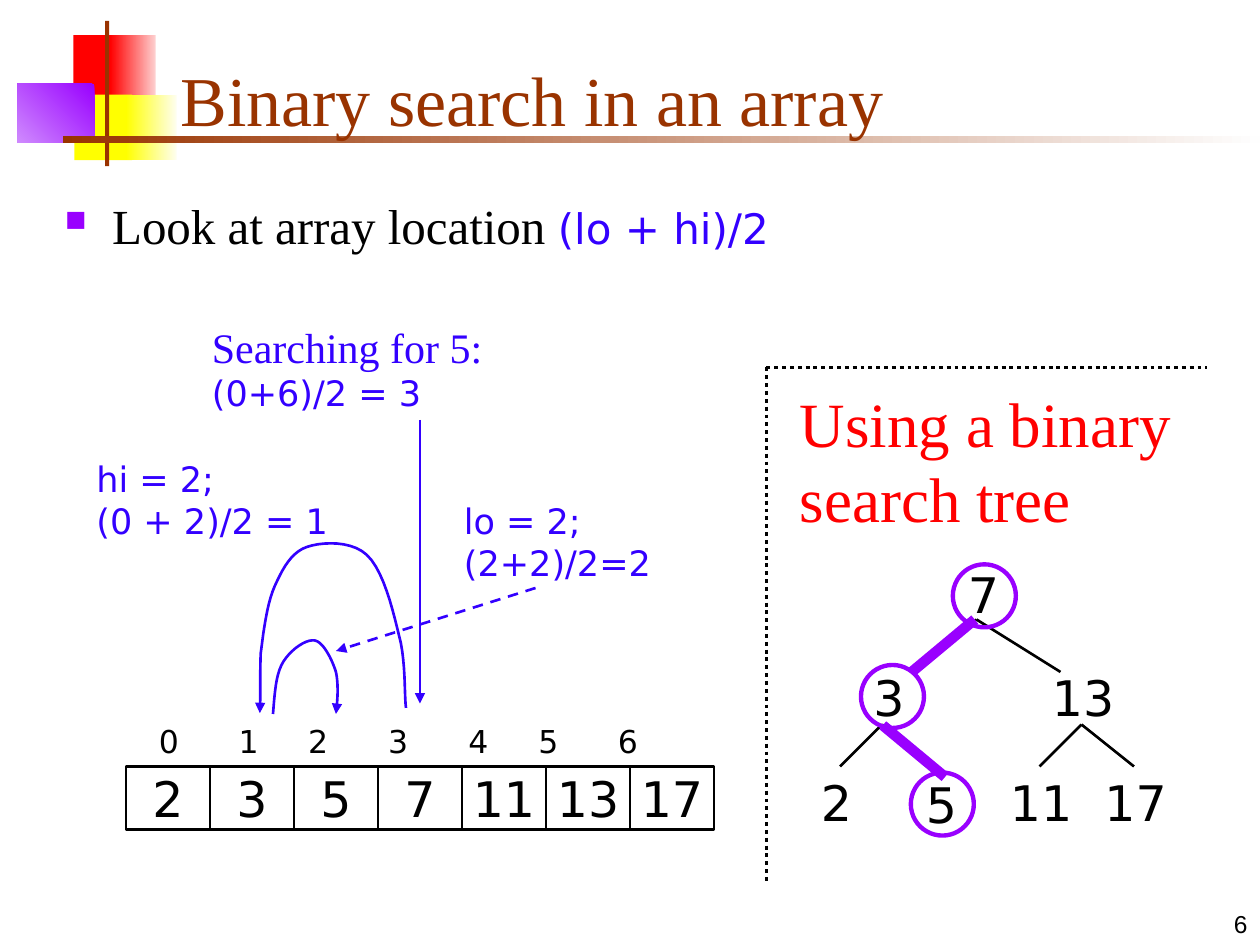
from itertools import pairwise
from lxml.etree import SubElement
from pptx import Presentation
from pptx.dml.color import RGBColor
from pptx.enum.dml import MSO_LINE as DASH
from pptx.enum.shapes import MSO_CONNECTOR, MSO_SHAPE as SHAPE
from pptx.enum.text import MSO_ANCHOR as ANCHOR, MSO_AUTO_SIZE, PP_ALIGN as ALIGN
from pptx.oxml.ns import qn
from pptx.util import Pt

SERIF, SANS = "Times New Roman", "DejaVu Sans"
BLACK, BLUE, PURPLE, BROWN = "000000", "3300FF", "9900FF", "993300"
RED, YELLOW = "FF0000", "FFFF00"


def rgb(code):
    return RGBColor.from_string(code)


def write(frame, *runs, size=20, font=SANS, color=BLACK, align=ALIGN.LEFT,
          anchor=ANCHOR.TOP, wrap=True):
    """Fill the frame's first paragraph; a run is a text or (text, own format)."""
    frame.word_wrap = wrap
    frame.auto_size = MSO_AUTO_SIZE.NONE
    frame.vertical_anchor = anchor
    paragraph = frame.paragraphs[0]
    paragraph.alignment = align
    for run in runs:
        text, own = (run, {}) if isinstance(run, str) else run
        for number, line in enumerate(text.split("\n")):
            if number:
                paragraph.add_line_break()
            if line:
                piece = paragraph.add_run()
                piece.text = line
                piece.font.size = Pt(own.get("size", size))
                piece.font.name = own.get("font", font)
                piece.font.color.rgb = rgb(own.get("color", color))
    return paragraph


def bezier(start, control1, control2, end, steps=10):
    """Points along a cubic curve, without its start."""
    for step in range(1, steps + 1):
        t = step / steps
        weights = (1 - t) ** 3, 3 * t * (1 - t) ** 2, 3 * t * t * (1 - t), t ** 3
        yield tuple(sum(w * p[axis] for w, p in
                        zip(weights, (start, control1, control2, end)))
                    for axis in (0, 1))


class Board:
    """The current slide and the style of what is drawn on it."""

    def __init__(self, slide):
        self.slide = slide
        self.shapes = slide.shapes

    def title(self, text, box):
        heading = self.shapes.title
        heading.left, heading.top, heading.width, heading.height = map(Pt, box)
        write(heading.text_frame, text, size=40, font=SERIF, color=BROWN,
              anchor=ANCHOR.BOTTOM)
        heading.element.getparent().append(heading.element)  # above the ornament

    def text(self, box, *runs, **style):
        return write(self.shapes.add_textbox(*map(Pt, box)).text_frame, *runs, **style)

    def bullet(self, box, *runs, **style):
        paragraph = self.text(box, *runs, **style)
        props = paragraph._p.get_or_add_pPr()
        props.set("marL", str(Pt(27)))
        props.set("indent", str(-Pt(27)))
        SubElement(SubElement(props, qn("a:buClr")), qn("a:srgbClr"), val=PURPLE)
        SubElement(props, qn("a:buSzPct"), val="60000")
        SubElement(props, qn("a:buChar"), char="■")

    def tabbed(self, box, labels, centers, **style):
        paragraph = self.text(box, "".join("\t" + label for label in labels), **style)
        tabs = SubElement(paragraph._p.get_or_add_pPr(), qn("a:tabLst"))
        for center in centers:
            SubElement(tabs, qn("a:tab"), pos=str(Pt(center)), algn="ctr")

    def block(self, box, color, fade=None, angle=180):
        block = self.shapes.add_shape(SHAPE.RECTANGLE, *map(Pt, box))
        block.shadow.inherit = False
        block.line.fill.background()
        if fade:
            block.fill.gradient()
            block.fill.gradient_angle = angle
            for stop, code in zip(block.fill.gradient_stops, (fade, color)):
                stop.color.rgb = rgb(code)
            block.fill.gradient_stops[0].position = 0
            block.fill.gradient_stops[1].position = 1
        else:
            block.fill.solid()
            block.fill.fore_color.rgb = rgb(color)

    def outline(self, kind, box, color=BLACK, width=1.5):
        shape = self.shapes.add_shape(kind, *map(Pt, box))
        shape.shadow.inherit = False
        shape.fill.background()
        self.stroke(shape, color, width)
        return shape

    def stroke(self, shape, color, width, dash=None, arrow=False):
        shape.line.color.rgb = rgb(color)
        shape.line.width = Pt(width)
        if dash:
            shape.line.dash_style = dash
        if arrow:
            SubElement(shape.line._get_or_add_ln(), qn("a:tailEnd"), type="triangle")

    def line(self, start, end, color=BLACK, width=1.5, **style):
        line = self.shapes.add_connector(MSO_CONNECTOR.STRAIGHT, *map(Pt, start + end))
        self.stroke(line, color, width, **style)
        SubElement(line._element.spPr, qn("a:effectLst"))

    def curve(self, start, *segments):
        ends = [start] + [segment[-1] for segment in segments]
        points = [point for (begin, _), segment in zip(pairwise(ends), segments)
                  for point in bezier(begin, *segment)]
        builder = self.shapes.build_freeform(*map(Pt, start))
        builder.add_line_segments([tuple(map(Pt, point)) for point in points], close=False)
        curve = builder.convert_to_shape()
        curve.shadow.inherit = False
        curve.fill.background()
        self.stroke(curve, BLUE, 1.5, arrow=True)


def draw_ornament(board):
    board.block((42, 20, 25, 37.5), RED)
    board.block((63, 20, 26, 37.5), RED, "FED0D0")
    board.block((42.5, 54, 33, 37.5), YELLOW)
    board.block((72, 54, 29, 37.5), YELLOW, "FEFEEF")
    board.block((10, 48, 44, 33.5), "CF8AFE", PURPLE, angle=225)
    board.block((60, 12, 2.4, 83), BROWN)
    board.block((36, 78, 684, 3.75), BROWN, "FEFEFE")


def draw_array(board):
    for index, value in enumerate((2, 3, 5, 7, 11, 13, 17)):
        cell = board.outline(SHAPE.FLOWCHART_PROCESS, (72 + 48 * index, 438, 48, 36))
        write(cell.text_frame, str(value), size=28, align=ALIGN.CENTER,
              anchor=ANCHOR.MIDDLE, wrap=False)
    board.tabbed((66, 409, 342, 30), "0123456",
                 (23.4, 69, 108.7, 154.4, 200.3, 240.3, 285.7), size=18)


def draw_search(board):
    board.text((114, 180, 180, 60), ("Searching for 5:\n", {"size": 24, "font": SERIF}),
               "(0+6)/2 = 3", color=BLUE)
    board.line((240, 240), (240, 402), BLUE, arrow=True)
    board.text((48, 258, 168, 55), "hi = 2;\n(0 + 2)/2 = 1", color=BLUE)
    board.curve((232, 404.5),
                ((231, 397.5), (232, 377), (228, 363)),
                ((224.5, 348.5), (219, 325.5), (209.5, 317)),
                ((201, 309), (184.5, 309.5), (175.5, 312.5)),
                ((166.5, 315.5), (161.5, 325), (157, 335)),
                ((152.5, 345), (150.5, 361.5), (149, 373.5)),
                ((148.5, 386), (149, 400), (148.5, 407.5)))
    board.text((258, 282, 126, 55), "lo = 2;\n(2+2)/2=2", color=BLUE)
    board.curve((156, 408),
                ((157, 396.5), (157.5, 385), (162, 378)),
                ((166.5, 371), (175, 365), (180, 366)),
                ((185, 367), (190, 377.5), (192, 384)),
                ((193.5, 391), (193, 399.5), (192, 408)))
    board.line((306, 336), (192, 372), BLUE, dash=DASH.DASH, arrow=True)


def draw_tree(board):
    for value, left, top, width in ((7, 546, 319, 42), (3, 492, 378, 42),
                                    (13, 594, 378, 54), (2, 462, 438, 42),
                                    (5, 522, 439, 42), (11, 570, 438, 54),
                                    (17, 624, 438, 60)):
        board.text((left, top, width, 41), str(value), size=28)
    for parent, children in (((504, 414), ((480, 438), (534, 438))),
                             ((618, 414), ((594, 438), (648, 438))),
                             ((558, 354), ((522, 384), (606, 384)))):
        for child in children:
            board.line(parent, child)
    board.text((450, 216, 240, 94), "Using a binary search tree",
               size=36, font=SERIF, color=RED)
    for corner_end in ((438, 504), (690, 210)):
        board.line((438, 210), corner_end, width=2.25, dash=DASH.ROUND_DOT)
    for left, top in ((544.5, 322.5), (492, 380), (520.5, 441.5)):
        board.outline(SHAPE.OVAL, (left, top, 36, 36), PURPLE, 2.5)
    for start, end in (((557, 354), (521, 384)), ((504.5, 414.5), (540, 444))):
        board.line(start, end, PURPLE, 6)


def main():
    deck = Presentation()
    deck.slide_width, deck.slide_height = Pt(720), Pt(540)
    board = Board(deck.slides.add_slide(deck.slide_layouts[5]))
    draw_ornament(board)
    board.title("Binary search in an array", (96, 18, 613.5, 66))
    board.bullet((30, 108, 675, 49), "Look at array location ",
                 ("(lo + hi)/2", {"size": 24, "font": SANS, "color": BLUE}),
                 size=28, font=SERIF)
    draw_array(board)
    draw_search(board)
    draw_tree(board)
    board.text((570, 504, 150, 36), "6", size=14, font="Arial",
               align=ALIGN.RIGHT, anchor=ANCHOR.BOTTOM)
    deck.save("out.pptx")


if __name__ == "__main__":
    main()
